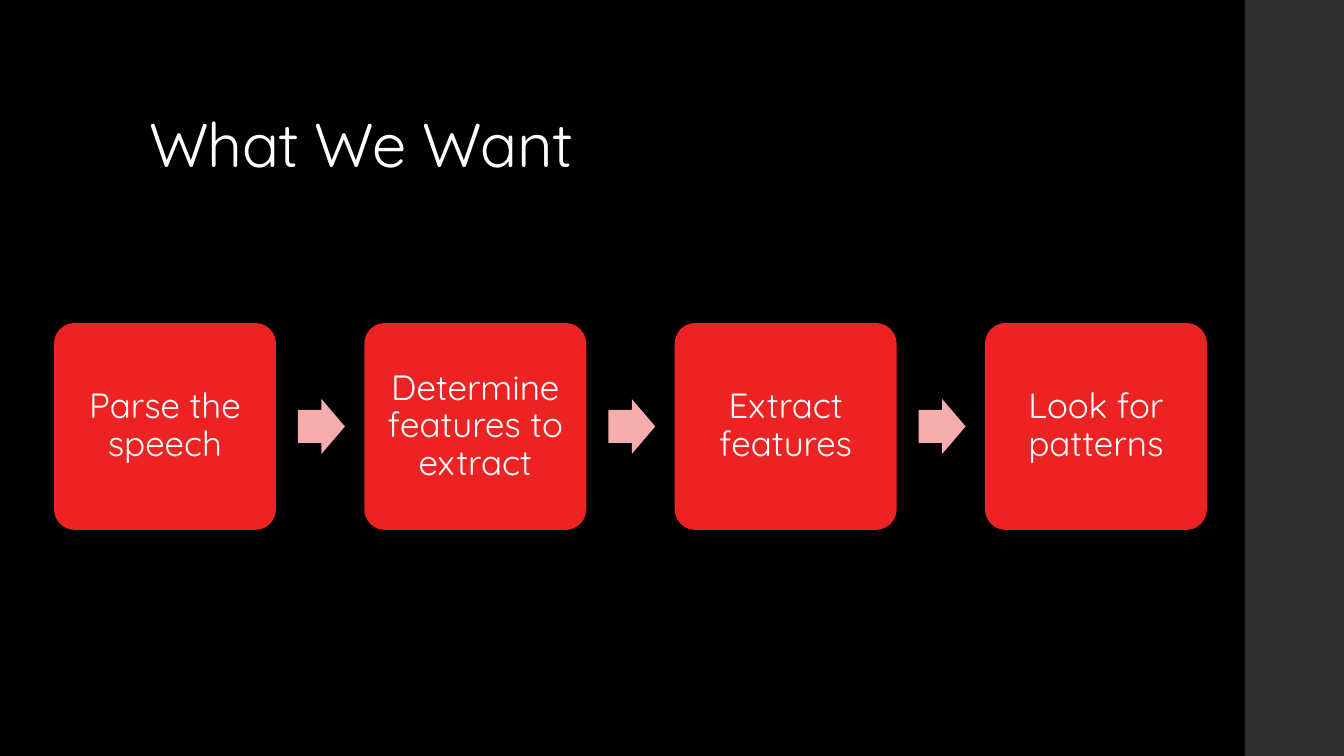
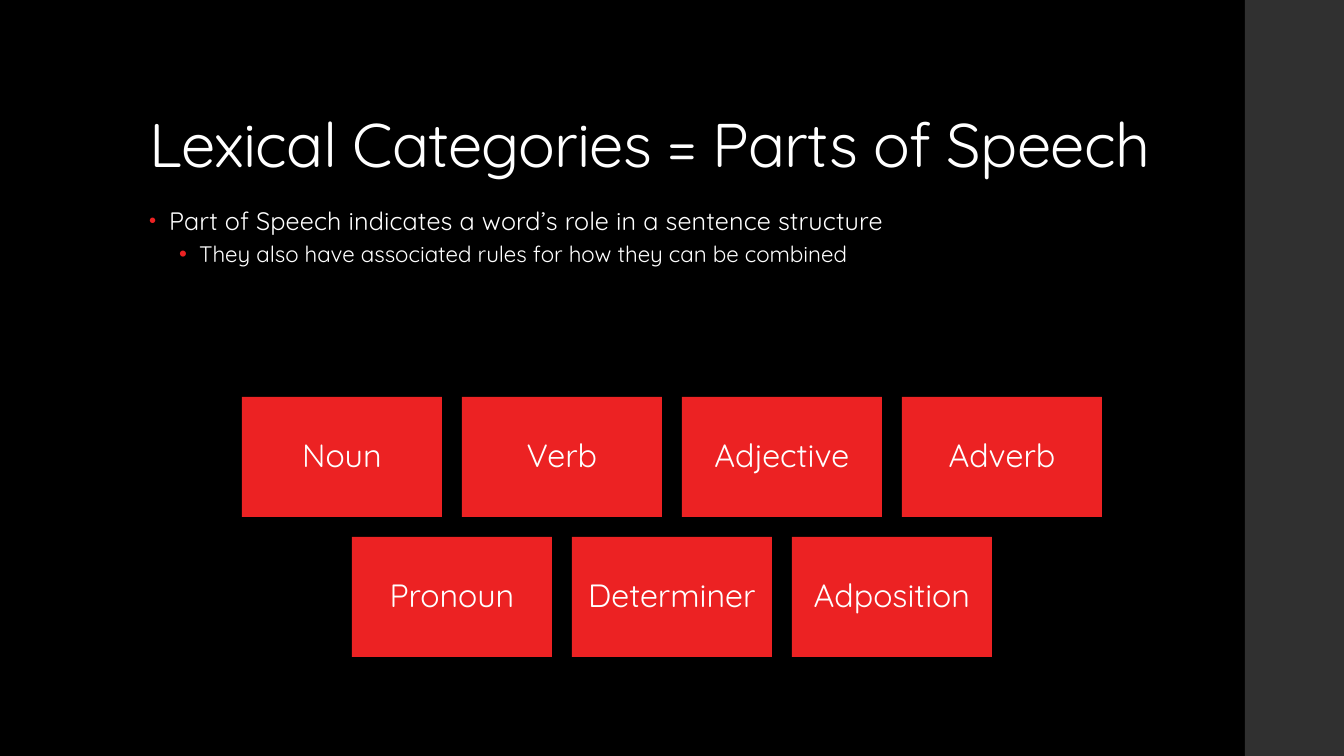
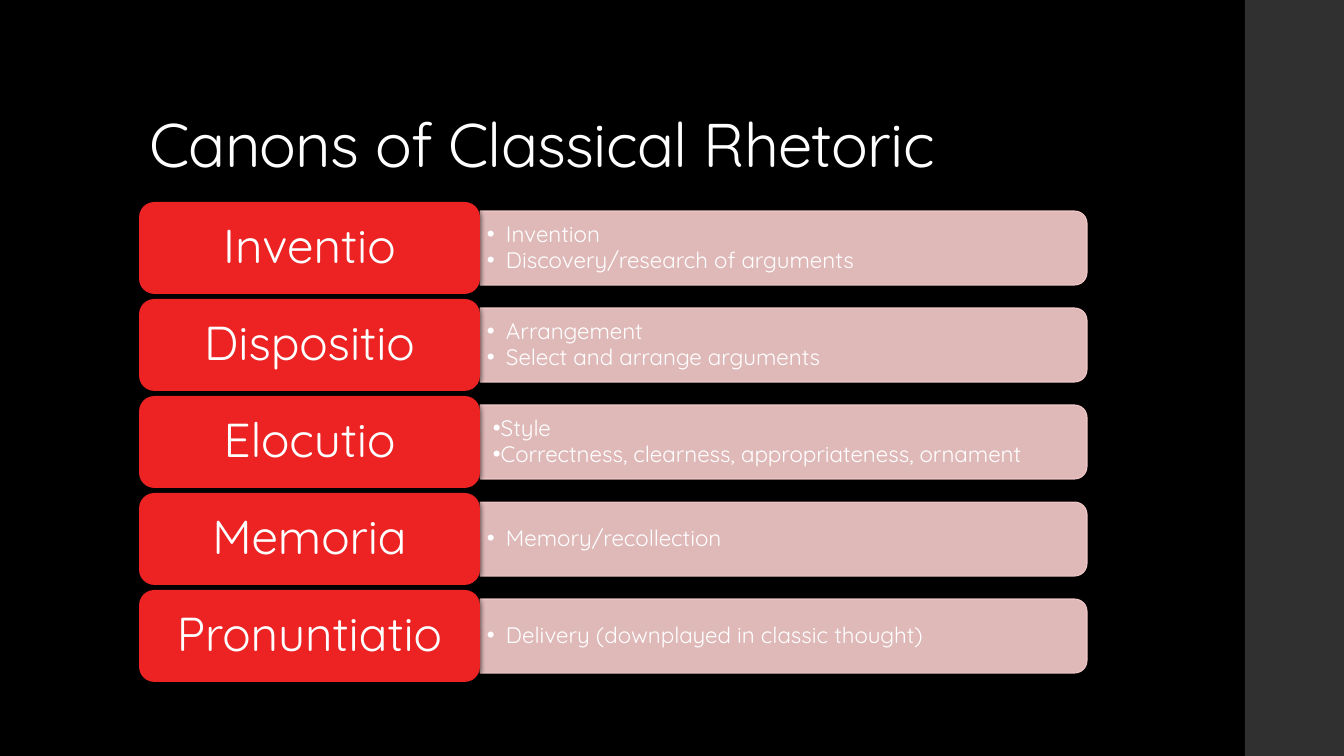
from collections import namedtuple

from lxml.etree import SubElement
from pptx import Presentation
from pptx.dml.color import RGBColor
from pptx.enum.shapes import MSO_SHAPE as Preset
from pptx.enum.text import MSO_ANCHOR as Anchor, MSO_AUTO_SIZE as AutoSize, PP_ALIGN as Align
from pptx.oxml.ns import qn
from pptx.util import Emu, Pt

EMU_PER_PX = 914400 / 100.8
FONT = "Quicksand"
BLACK = RGBColor(0x00, 0x00, 0x00)
CHARCOAL = RGBColor(0x30, 0x30, 0x30)
WHITE = RGBColor(0xFF, 0xFF, 0xFF)
RED = RGBColor(0xEC, 0x22, 0x23)
PINK = RGBColor(0xF4, 0xAC, 0xAC)
PALE_PINK = RGBColor(0xF8, 0xCD, 0xCD)

Box = namedtuple("Box", "left top width height")
SLIDE = Box(0, 0, 1344, 756)
SIDE_BAND = Box(1245, 0, 99, 756)
TITLE = Box(139, 40, 1068, 146)
BODY = Box(139, 202, 948, 480)

STEPS = ["Parse the speech", "Determine features to extract", "Extract features", "Look for patterns"]
CATEGORY_ROWS = [
    ["Noun", "Verb", "Adjective", "Adverb"],
    ["Pronoun", "Determiner", "Adposition"],
]
CANONS = [
    ("Inventio", ["Invention", "Discovery/research of arguments"], 19, -19),
    ("Dispositio", ["Arrangement", "Select and arrange arguments"], 19, -19),
    ("Elocutio", ["Style", "Correctness, clearness, appropriateness, ornament"], 6, 0),
    ("Memoria", ["Memory/recollection"], 19, -19),
    ("Pronuntiatio", ["Delivery (downplayed in classic thought)"], 19, -19),
]


def px(length):
    return Emu(round(length * EMU_PER_PX))


def emu(box):
    return [px(length) for length in box]


def place(placeholder, box):
    placeholder.left, placeholder.top, placeholder.width, placeholder.height = emu(box)


def write(paragraph, text, size, tracking=0, line_spacing=0.9):
    paragraph.line_spacing = line_spacing
    run = paragraph.add_run()
    run.text = text
    run.font.name = FONT
    run.font.size = Pt(size)
    run.font.color.rgb = WHITE
    if tracking:
        run.font._element.set("spc", str(tracking))


def add_bullet(paragraph, margin, indent, color=None, percent=None):
    properties = paragraph._p.get_or_add_pPr()
    properties.set("marL", str(px(margin)))
    properties.set("indent", str(px(indent)))
    if color is not None:
        SubElement(SubElement(properties, qn("a:buClr")), qn("a:srgbClr"), val=str(color))
    if percent:
        SubElement(properties, qn("a:buSzPct"), val=str(percent * 1000))
    SubElement(properties, qn("a:buFont"), typeface="Arial")
    SubElement(properties, qn("a:buChar"), char="•")


def set_insets(frame, horizontal, vertical):
    frame.margin_left = frame.margin_right = px(horizontal)
    frame.margin_top = frame.margin_bottom = px(vertical)
    frame.vertical_anchor = Anchor.MIDDLE
    frame.word_wrap = True


def add_block(slide, preset, box, color, adjustments=()):
    block = slide.shapes.add_shape(preset, *emu(box))
    for index, value in enumerate(adjustments):
        block.adjustments[index] = value
    block.fill.solid()
    block.fill.fore_color.rgb = color
    block.line.fill.background()
    block.shadow.inherit = False
    return block


def cast_shadow(block):
    effects = block.element.spPr.find(qn("a:effectLst"))
    shadow = SubElement(effects, qn("a:outerShdw"), blurRad=str(Pt(4)), dist=str(Pt(1.2)),
                        dir="5400000", rotWithShape="0")
    shade = SubElement(shadow, qn("a:srgbClr"), val=str(BLACK))
    SubElement(shade, qn("a:alpha"), val="75000")


def add_label(slide, preset, box, text, size, insets=(10, 10), adjustments=()):
    label = add_block(slide, preset, box, RED, adjustments)
    cast_shadow(label)
    set_insets(label.text_frame, *insets)
    paragraph = label.text_frame.paragraphs[0]
    paragraph.alignment = Align.CENTER
    write(paragraph, text, size)


def set_master(presentation, slide):
    master = presentation.slide_master
    master.background.fill.solid()
    master.background.fill.fore_color.rgb = BLACK
    band = add_block(slide, Preset.RECTANGLE, SIDE_BAND, CHARCOAL)
    master.shapes.element.insert(2, band.element)


def add_titled_slide(presentation, layout_name, heading):
    layout = presentation.slide_layouts.get_by_name(layout_name)
    slide = presentation.slides.add_slide(layout)
    title = slide.shapes.title
    place(title, TITLE)
    frame = title.text_frame
    frame.auto_size = AutoSize.NONE
    frame.vertical_anchor = Anchor.BOTTOM
    frame.paragraphs[0].alignment = Align.LEFT
    write(frame.paragraphs[0], heading, 44, tracking=-50)
    return slide


def add_process(slide, box, steps):
    step_width, arrow_gap, arrow_width, arrow_height = 222, 22, 47, 55
    pitch = (box.width - step_width) / (len(steps) - 1)
    for index, step in enumerate(steps):
        left = box.left + index * pitch
        add_label(slide, Preset.ROUNDED_RECTANGLE, Box(left, box.top, step_width, box.height),
                  step, 25, adjustments=[0.1])
        if index < len(steps) - 1:
            arrow_box = Box(left + step_width + arrow_gap,
                            box.top + (box.height - arrow_height) / 2, arrow_width, arrow_height)
            cast_shadow(add_block(slide, Preset.RIGHT_ARROW, arrow_box, PINK, [0.6, 0.5]))


def add_explanation(slide, box):
    body = slide.placeholders[1]
    place(body, box)
    frame = body.text_frame
    frame.auto_size = AutoSize.NONE
    role = frame.paragraphs[0]
    add_bullet(role, 20, -20, RED, 80)
    role.space_before, role.space_after = Pt(0), Pt(2)
    write(role, "Part of Speech indicates a word’s role in a sentence structure", 18, 10, 0.95)
    rules = frame.add_paragraph()
    rules.level = 1
    add_bullet(rules, 50, -20, RED)
    rules.space_before = rules.space_after = Pt(3)
    write(rules, "They also have associated rules for how they can be combined", 16)


def add_category_grid(slide, box, rows):
    gap = 20
    columns = max(len(row) for row in rows)
    width = (box.width - gap * (columns - 1)) / columns
    height = (box.height - gap * (len(rows) - 1)) / len(rows)
    for row_index, row in enumerate(rows):
        start = box.left + (columns - len(row)) * (width + gap) / 2
        top = box.top + row_index * (height + gap)
        for column, category in enumerate(row):
            cell = Box(start + column * (width + gap), top, width, height)
            add_label(slide, Preset.RECTANGLE, cell, category, 23)


def add_canon_panel(slide, box, meanings, margin, indent):
    upright = Box(box.left + (box.width - box.height) / 2, box.top + (box.height - box.width) / 2,
                  box.height, box.width)
    panel = add_block(slide, Preset.ROUND_2_SAME_RECTANGLE, upright, PALE_PINK)
    panel.rotation = 90
    panel.line.color.rgb = PALE_PINK
    panel.line.width = Pt(0.75)
    for color in list(panel.element.spPr.iter(qn("a:srgbClr"))):
        SubElement(color, qn("a:alpha"), val="90000")
    frame = slide.shapes.add_textbox(*emu(box)).text_frame
    set_insets(frame, 7, 3)
    for index, meaning in enumerate(meanings):
        paragraph = frame.add_paragraph() if index else frame.paragraphs[0]
        add_bullet(paragraph, margin, indent)
        paragraph.space_after = Pt(1.5)
        write(paragraph, meaning, 16)


def add_canon_list(slide, box, canons):
    name_width, name_height, panel_height = 341, 92, 74
    pitch = (box.height - name_height) / (len(canons) - 1)
    for index, (name, meanings, margin, indent) in enumerate(canons):
        top = box.top + index * pitch
        panel_box = Box(box.left + name_width, top + (name_height - panel_height) / 2,
                        box.width - name_width, panel_height)
        add_canon_panel(slide, panel_box, meanings, margin, indent)
        add_label(slide, Preset.ROUNDED_RECTANGLE, Box(box.left, top, name_width, name_height),
                  name, 34, insets=(14, 7))


def main():
    presentation = Presentation()
    presentation.slide_width, presentation.slide_height = px(SLIDE.width), px(SLIDE.height)

    goals = add_titled_slide(presentation, "Title Only", "What We Want")
    set_master(presentation, goals)
    add_process(goals, Box(54, 323, 1153, 207), STEPS)

    lexical = add_titled_slide(presentation, "Title and Content", "Lexical Categories = Parts of Speech")
    add_explanation(lexical, BODY)
    add_category_grid(lexical, Box(242, 397, 860, 260), CATEGORY_ROWS)

    rhetoric = add_titled_slide(presentation, "Title Only", "Canons of Classical Rhetoric")
    add_canon_list(rhetoric, BODY, CANONS)

    presentation.save("out.pptx")


if __name__ == "__main__":
    main()
